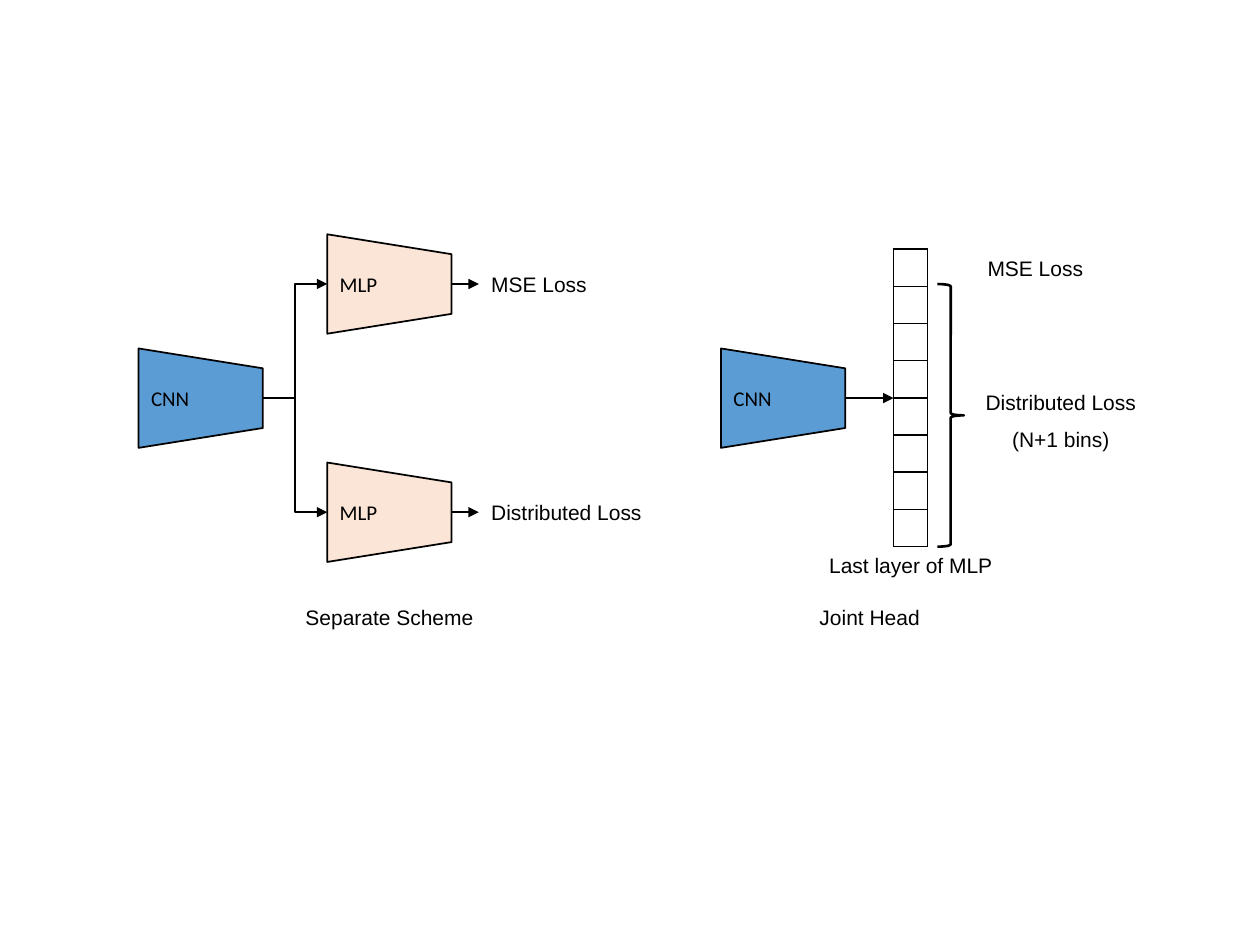
import pptx
import pptx.dml.color
import pptx.enum.shapes
import pptx.enum.text
import pptx.oxml.ns
import pptx.util
import lxml.etree

Pt = pptx.util.Pt
RGB = pptx.dml.color.RGBColor.from_string
SHAPE = pptx.enum.shapes.MSO_SHAPE
CONNECTOR = pptx.enum.shapes.MSO_CONNECTOR
ALIGN = pptx.enum.text.PP_ALIGN
qn = pptx.oxml.ns.qn

THEME = {
    "ink": RGB("000000"),
    "cnn": RGB("5B9CD5"),
    "mlp": RGB("FBE5D6"),
    "label_font": "Arial",
    "block_font": "Calibri",
    "size": Pt(12),
    "outline": Pt(1),
    "arrow": Pt(1.5),
}

MID_Y = 227.5
BRANCH = 65.2
TOP_Y, BOTTOM_Y = MID_Y - BRANCH, MID_Y + BRANCH
BLOCK_W, BLOCK_H = 71, 56.8
CNN_X, MLP_X, JOINT_X = 79.2, 187, 412
ROWS, ROW_H = 8, 21.25
LAYER_X, LAYER_Y, LAYER_W = 510.6, 142.4, 19.4
LAYER_BOTTOM = LAYER_Y + ROWS * ROW_H

prs = pptx.Presentation()
prs.slide_width, prs.slide_height = Pt(720), Pt(540)
s = prs.slides.add_slide(prs.slide_layouts[6])


def style_text(tf, lines, font, align, spacing=None):
    tf.word_wrap = True
    tf.text = "\n".join(lines)
    for p in tf.paragraphs:
        p.alignment = align
        p.line_spacing = spacing
        p.font.name = THEME[font]
        p.font.size = THEME["size"]
        p.font.color.rgb = THEME["ink"]


for name, fill, x, mid in [
    ("MLP", "mlp", MLP_X, TOP_Y),
    ("MLP", "mlp", MLP_X, BOTTOM_Y),
    ("CNN", "cnn", CNN_X, MID_Y),
    ("CNN", "cnn", JOINT_X, MID_Y),
]:
    left = x + (BLOCK_W - BLOCK_H) / 2
    sp = s.shapes.add_shape(SHAPE.FLOWCHART_MANUAL_OPERATION, Pt(left), Pt(mid - BLOCK_W / 2), Pt(BLOCK_H), Pt(BLOCK_W))
    sp.rotation = 270
    sp.shadow.inherit = False
    sp.fill.solid()
    sp.fill.fore_color.rgb = THEME[fill]
    sp.line.color.rgb = THEME["ink"]
    sp.line.width = THEME["outline"]
    style_text(sp.text_frame, [name], "block_font", ALIGN.CENTER)
    sp.text_frame.vertical_anchor = pptx.enum.text.MSO_ANCHOR.MIDDLE
    sp.text_frame._txBody.find(qn("a:bodyPr")).set("vert", "eaVert")

for kind, x1, y1, x2, y2 in [
    (CONNECTOR.ELBOW, CNN_X + BLOCK_W, MID_Y, MLP_X, TOP_Y),
    (CONNECTOR.ELBOW, CNN_X + BLOCK_W, MID_Y, MLP_X, BOTTOM_Y),
    (CONNECTOR.STRAIGHT, MLP_X + BLOCK_W, TOP_Y, 273.6, TOP_Y),
    (CONNECTOR.STRAIGHT, MLP_X + BLOCK_W, BOTTOM_Y, 273.6, BOTTOM_Y),
    (CONNECTOR.STRAIGHT, JOINT_X + BLOCK_W, MID_Y, LAYER_X, MID_Y),
]:
    sp = s.shapes.add_connector(kind, Pt(x1), Pt(y1), Pt(x2), Pt(y2))
    sp.line.color.rgb = THEME["ink"]
    sp.line.width = THEME["arrow"]
    lxml.etree.SubElement(sp.line._get_or_add_ln(), qn("a:tailEnd"), type="triangle")
    lxml.etree.SubElement(sp._element.spPr, qn("a:effectLst"))

table = s.shapes.add_table(ROWS, 1, Pt(LAYER_X), Pt(LAYER_Y), Pt(LAYER_W), Pt(ROWS * ROW_H)).table
table.first_row = False
table.horz_banding = False
for row in table.rows:
    row.height = Pt(ROW_H)
    cell = row.cells[0]
    cell.margin_left = cell.margin_right = cell.margin_top = cell.margin_bottom = 0
    p = cell.text_frame.paragraphs[0]
    lxml.etree.SubElement(p._p, qn("a:endParaRPr"), sz="800")
    tcPr = cell._tc.get_or_add_tcPr()
    for side in ("lnL", "lnR", "lnT", "lnB"):
        ln = lxml.etree.SubElement(tcPr, qn("a:" + side), w=str(THEME["outline"]))
        fill = lxml.etree.SubElement(ln, qn("a:solidFill"))
        lxml.etree.SubElement(fill, qn("a:srgbClr"), val=str(THEME["ink"]))
    cell.fill.background()

sp = s.shapes.add_shape(SHAPE.RIGHT_BRACE, Pt(535.7), Pt(TOP_Y), Pt(15.1), Pt(LAYER_BOTTOM - TOP_Y))
sp.shadow.inherit = False
sp.fill.background()
sp.line.color.rgb = THEME["ink"]
sp.line.width = THEME["arrow"]

for lines, x, y, w, h, align, spacing in [
    (["MSE Loss"], 273.6, TOP_Y - 10.9, 109.4, 21.8, ALIGN.LEFT, None),
    (["Distributed Loss"], 273.6, BOTTOM_Y - 10.9, 109.4, 21.8, ALIGN.LEFT, None),
    (["Last layer of MLP"], 465.8, LAYER_BOTTOM, 109.4, 21.8, ALIGN.CENTER, None),
    (["MSE Loss"], 557.2, LAYER_Y, 109.4, 21.8, ALIGN.LEFT, None),
    (["Distributed Loss", "(N+1 bins)"], 551.5, 211.7, 109.4, 48.2, ALIGN.CENTER, 1.5),
    (["Separate Scheme"], 154.6, 342, 136, 21.8, ALIGN.CENTER, None),
    (["Joint Head"], 429, 342, 136, 21.8, ALIGN.CENTER, None),
]:
    tf = s.shapes.add_textbox(Pt(x), Pt(y), Pt(w), Pt(h)).text_frame
    style_text(tf, lines, "label_font", align, spacing)
    tf.auto_size = pptx.enum.text.MSO_AUTO_SIZE.SHAPE_TO_FIT_TEXT

prs.save("out.pptx")
